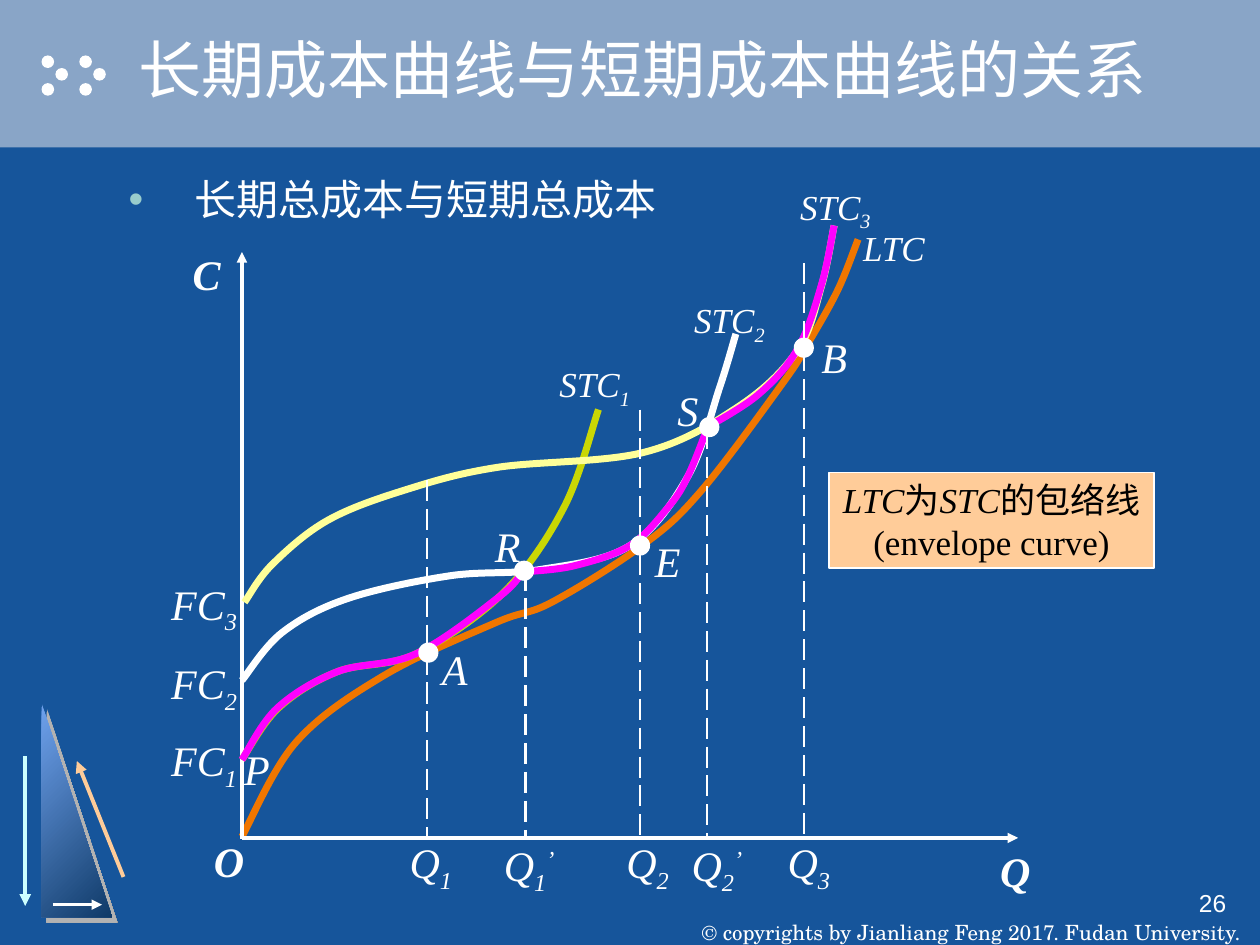
from lxml import etree
from pptx import Presentation
from pptx.dml.color import RGBColor
from pptx.enum.dml import MSO_LINE
from pptx.enum.shapes import MSO_CONNECTOR, MSO_SHAPE
from pptx.enum.text import MSO_ANCHOR, PP_ALIGN
from pptx.oxml.ns import qn
from pptx.util import Pt

PX = 9144  # EMU per px, 100 px to the inch
OVAL, RECT, TRIANGLE = MSO_SHAPE.OVAL, MSO_SHAPE.RECTANGLE, MSO_SHAPE.RIGHT_TRIANGLE
STRAIGHT, LONG_DASH = MSO_CONNECTOR.STRAIGHT, MSO_LINE.LONG_DASH
LEFT, CENTER, RIGHT = PP_ALIGN.LEFT, PP_ALIGN.CENTER, PP_ALIGN.RIGHT
MIDDLE, BOTTOM, TOP = MSO_ANCHOR.MIDDLE, MSO_ANCHOR.BOTTOM, MSO_ANCHOR.TOP
SERIF = "Times New Roman"
WHITE, MAGENTA = "FFFFFF", "FF00FF"
SUB, SUP = -25000, 30000
AXIS_X, AXIS_Y = 192, 665

# Curves as (colour, knots), drawn in this order
LONG_RUN = ("F07600", [(192, 664), (235, 589), (305, 536), (394, 494), (438, 478), (511, 432),
                       (557, 389), (622, 303), (641, 273), (665, 230), (681, 190)])
SHORT_RUN = [
    ("CAD704", [(192, 603), (221, 562), (268, 533), (330, 519), (400, 470), (448, 402),
                (475, 325)]),
    (WHITE, [(192, 540), (224, 502), (276, 475), (357, 457), (429, 452), (500, 433),
             (546, 378), (571, 308), (584, 265)]),
    ("FFFF99", [(194, 478), (216, 448), (260, 413), (321, 389), (394, 371), (511, 359),
                (587, 322), (633, 278), (652, 227), (662, 179)]),
]
ENVELOPE = [
    [(192, 603), (220, 562), (268, 533), (330, 519), (397, 473), (416, 452)],
    [(416, 454), (456, 449), (500, 433), (530, 403), (546, 378), (564, 333)],
    [(560, 340), (602, 313), (633, 277), (652, 226), (662, 179)],
]
# name, name position, dot position, dashed line x and top, quantity position, sub, prime
POINTS = [
    ("A", (341, 498), (332, 510), (339, 381), (315, 650), "1", ""),
    ("E", (510, 412), (500, 425), (508, 325), (487, 650), "2", ""),
    ("B", (642, 250), (630, 268), (638, 209), (615, 650), "3", ""),
    ("R", (383, 400), (408, 445), (417, 452), (390, 652), "1", "’"),
    ("S", (526, 292), (555, 331), (561, 340), (539, 652), "2", "’"),
]


def color(hex_value):
    return RGBColor.from_string(hex_value)


def px(*lengths):
    return [round(length * PX) for length in lengths]


def add(parent, tag, **attributes):
    child = etree.SubElement(parent, qn(tag))
    for key, value in attributes.items():
        child.set(key, str(value))
    return child


def add_shadow(effects, hex_value, distance):
    shadow = add(effects, "a:outerShdw", dist=distance, dir=2700000, algn="tl", rotWithShape=0)
    add(shadow, "a:srgbClr", val=hex_value)


def style_font(font, size, hex_value, name=SERIF, bold=False, italic=False):
    font.size, font.name, font.bold, font.italic = Pt(size), name, bold, italic
    font.color.rgb = color(hex_value)


def add_solid(slide, kind, box, hex_value):
    solid = slide.shapes.add_shape(kind, *px(*box))
    solid.shadow.inherit = False
    solid.fill.solid()
    solid.fill.fore_color.rgb = color(hex_value)
    solid.line.fill.background()
    return solid


def add_line(slide, start, end, width, hex_value=WHITE, arrow=False, dash=None):
    connector = slide.shapes.add_connector(STRAIGHT, *px(*start, *end))
    connector.line.width = Pt(width)
    connector.line.color.rgb = color(hex_value)
    if dash:
        connector.line.dash_style = dash
    if arrow:
        add(connector.line._get_or_add_ln(), "a:tailEnd", type="triangle")
    add(connector._element.spPr, "a:effectLst")


def add_curve(slide, hex_value, knots):
    """Draw a smooth curve through the knots, as Catmull-Rom Bezier segments."""
    builder = slide.shapes.build_freeform(*px(*knots[0]), scale=1.0)
    builder.add_line_segments([px(*knot) for knot in knots[1:]], close=False)
    curve = builder.convert_to_shape()
    curve.shadow.inherit = False
    curve.fill.background()
    curve.line.color.rgb = color(hex_value)
    curve.line.width = Pt(4)
    outline = next(curve._element.iter(qn("a:path")))
    pts = [(int(pt.get("x")), int(pt.get("y"))) for pt in outline.iter(qn("a:pt"))]
    for segment in outline.findall(qn("a:lnTo")):
        outline.remove(segment)
    padded = [pts[0], *pts, pts[-1]]
    for before, start, end, after in zip(padded, padded[1:], padded[2:], padded[3:]):
        bezier = add(outline, "a:cubicBezTo")
        control_1 = [s + (e - b) / 6 for b, s, e in zip(before, start, end)]
        control_2 = [e - (a - s) / 6 for s, e, a in zip(start, end, after)]
        for x, y in (control_1, control_2, end):
            add(bezier, "a:pt", x=round(x), y=round(y))


def add_text(slide, box, parts, size, align=CENTER, wrap=False, anchor=TOP, spacing=1.0, **font):
    """Write one paragraph from (text, baseline) parts."""
    frame = slide.shapes.add_textbox(*px(*box)).text_frame
    frame.word_wrap, frame.vertical_anchor = wrap, anchor
    paragraph = frame.paragraphs[0]
    paragraph.alignment, paragraph.line_spacing = align, spacing
    style_font(paragraph.font, size, WHITE, **font)
    for text, baseline in parts:
        run = paragraph.add_run()
        run.text = text
        if baseline:
            run._r.get_or_add_rPr().set("baseline", str(baseline))
    return frame


def add_letter(slide, position, letter, sub="", sup="", width=40, height=58, bold=False):
    parts = [(letter, 0), (sub, SUB), (sup, SUP)]
    add_text(slide, (*position, width, height), [part for part in parts if part[0]], 24,
             spacing=1.2, bold=bold, italic=True)


def place(slide, placeholder, box):
    """Position a placeholder and bring it in front of the banner."""
    placeholder.left, placeholder.top, placeholder.width, placeholder.height = px(*box)
    slide.shapes._spTree.append(placeholder._element)
    return placeholder.text_frame


def add_decoration(slide):
    add_solid(slide, RECT, (0, 0, 1000, 117), "89A5C7")
    for left in (33, 63):
        for dx, top in ((0, 44), (11, 54), (0, 66)):
            add_solid(slide, OVAL, (left + dx, top, 10, 10), WHITE)
    triangle = add_solid(slide, TRIANGLE, (33, 558, 56, 170), WHITE)
    triangle.fill.gradient()
    triangle.fill.gradient_angle = 315
    for stop, hex_value, position in zip(triangle.fill.gradient_stops, ("6FA2ED", "0F3A68"), (0, 1)):
        stop.color.rgb, stop.position = color(hex_value), position
    add_shadow(triangle._element.spPr.find(qn("a:effectLst")), "B2B2B2", 53340)
    add_line(slide, (20, 600), (20, 719), 2.25, "CCFFFF", arrow=True)
    add_line(slide, (98, 696), (61, 604), 2.25, "FFCC99", arrow=True)
    add_line(slide, (42, 718), (81, 718), 1.5, arrow=True)


def add_headings(slide):
    title = place(slide, slide.shapes.title, (100, 0, 900, 108))
    title.text = "长期成本曲线与短期成本曲线的关系"
    title.vertical_anchor = MIDDLE
    heading = title.paragraphs[0]
    heading.alignment = LEFT
    style_font(heading.font, 36, WHITE, "Arial")
    add_shadow(add(heading.runs[0]._r.get_or_add_rPr(), "a:effectLst"), "000000", 25400)

    body = place(slide, slide.placeholders[1], (92, 133, 817, 500))
    body.text = "长期总成本与短期总成本"
    item = body.paragraphs[0]
    item.space_before = Pt(0)
    properties = item._p.get_or_add_pPr()
    properties.set("marL", str(52 * PX))
    properties.set("indent", str(-52 * PX))
    add(add(properties, "a:buClr"), "a:srgbClr", val="99CCCC")
    add(properties, "a:buChar", char="•")
    style_font(item.font, 24, WHITE)


def add_diagram(slide):
    # Axes and long-run curve
    add_curve(slide, *LONG_RUN)
    add_text(slide, (675, 175, 69, 43), [("LTC", 0)], 20, italic=True)
    add_line(slide, (AXIS_X, AXIS_Y + 1), (AXIS_X, 200), 2, arrow=True)
    add_line(slide, (AXIS_X, AXIS_Y), (808, AXIS_Y), 2, arrow=True)
    for letter, position in (("O", (160, 650)), ("Q", (784, 658)), ("C", (143, 184))):
        add_letter(slide, position, letter, bold=True)

    # Short-run curves with their names and fixed costs
    names = [(434, 283), (541, 232), (625, 142)]
    fixed_cost_tops = [569, 508, 445]
    for number, (curve, name, top) in enumerate(zip(SHORT_RUN, names, fixed_cost_tops), 1):
        add_curve(slide, *curve)
        add_text(slide, (*name, 76, 48), [("STC", 0), (str(number), SUB)], 20, italic=True)
        add_letter(slide, (126, top), "FC", str(number), width=72, height=65)

    # Envelope and marked points
    add_letter(slide, (184, 577), "P")
    for knots in ENVELOPE:
        add_curve(slide, MAGENTA, knots)
    for name, name_at, dot_at, (x, top), quantity_at, sub, prime in POINTS:
        add_letter(slide, name_at, name)
        add_line(slide, (x, top), (x, AXIS_Y), 1.5, dash=LONG_DASH)
        add_letter(slide, quantity_at, "Q", sub, prime, 60 if prime else 54, 65)
        add_solid(slide, OVAL, (*dot_at, 16, 16), WHITE)


def add_callout(slide):
    callout = add_solid(slide, RECT, (658, 375, 258, 76), "FFCC99")
    callout.line.color.rgb = color(WHITE)
    callout.line.width = Pt(1)
    sentence = callout.text_frame.paragraphs[0]
    sentence.alignment = CENTER
    for text, italic in (("LTC", True), ("为", False), ("STC", True),
                         ("的包络线(envelope curve)", False)):
        run = sentence.add_run()
        run.text = text
        style_font(run.font, 20, "000000", italic=italic)


def add_footer(slide):
    footer = add_text(slide, (542, 700, 458, 50),
                      [("© copyrights by Jianliang Feng 2017. Fudan University.", 0)], 12,
                      anchor=BOTTOM, name="TeX Gyre Schola")
    footer.margin_top = footer.margin_bottom = 0
    add_text(slide, (775, 700, 208, 50), [("26", 0)], 14, RIGHT, wrap=True, name="Arial")


def main():
    prs = Presentation()
    prs.slide_width, prs.slide_height = px(1000, 750)
    slide = prs.slides.add_slide(prs.slide_layouts[1])
    slide.background.fill.solid()
    slide.background.fill.fore_color.rgb = color("16559B")
    add_decoration(slide)
    add_headings(slide)
    add_diagram(slide)
    add_callout(slide)
    add_footer(slide)
    prs.save("out.pptx")


if __name__ == "__main__":
    main()
